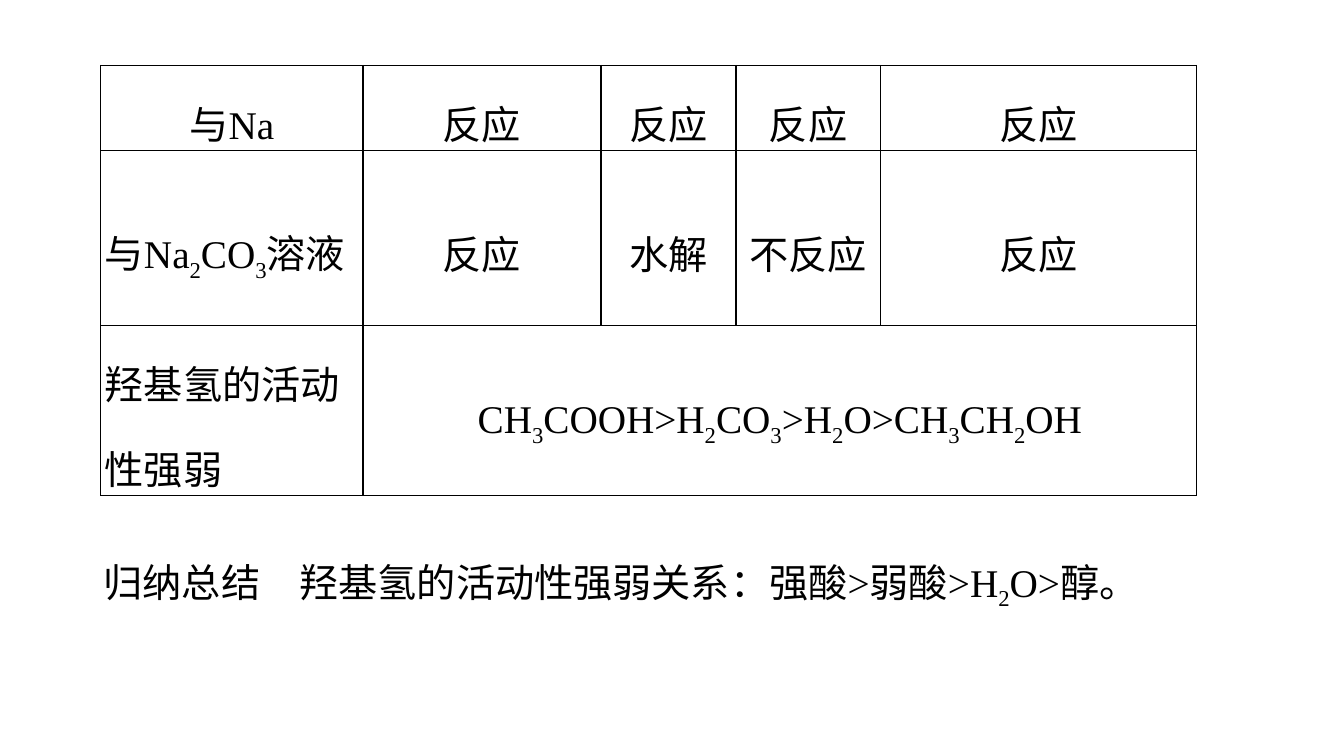
from itertools import groupby

from lxml.etree import SubElement
from pptx import Presentation
from pptx.dml.color import RGBColor
from pptx.enum.text import MSO_ANCHOR, MSO_AUTO_SIZE, PP_ALIGN
from pptx.oxml.ns import qn
from pptx.util import Inches, Pt

BLACK = "000000"


def color(value):
    return RGBColor.from_string(value)


def write_formula(paragraph, text, alignment):
    paragraph.alignment = alignment
    paragraph.line_spacing = 1.5
    for is_subscript, characters in groupby(text, str.isdigit):
        run = paragraph.add_run()
        run.text = "".join(characters)
        for name, value in {"size": Pt(28), "name": "Times New Roman"}.items():
            setattr(run.font, name, value)
        run.font.color.rgb = color(BLACK)
        properties = run._r.get_or_add_rPr()
        properties.set("lang", "zh-CN")
        if is_subscript:
            properties.set("baseline", "-25000")


presentation = Presentation()
presentation.slide_width = Inches(13.33)
presentation.slide_height = Inches(7.5)
slide = presentation.slides.add_slide(presentation.slide_layouts[6])

column_widths = [2.6, 2.36, 1.34, 1.43, 3.14]
row_heights = [0.82, 1.63, 1.69]
reactions = [
    ["与Na", "反应", "反应", "反应", "反应"],
    ["与Na2CO3溶液", "反应", "水解", "不反应", "反应"],
    ["羟基氢的活动性强弱", "CH3COOH>H2CO3>H2O>CH3CH2OH"],
]

table = slide.shapes.add_table(
    len(row_heights), len(column_widths), Inches(1), Inches(0.65),
    Inches(sum(column_widths)), Inches(sum(row_heights)),
).table
table.first_row = False
table.horz_banding = False
for column, width in zip(table.columns, column_widths):
    column.width = Inches(width)
for row, height in zip(table.rows, row_heights):
    row.height = Inches(height)
table.cell(2, 1).merge(table.cell(2, 4))

cell_format = {
    "vertical_anchor": MSO_ANCHOR.MIDDLE,
    "margin_left": Inches(0.04),
    "margin_right": Inches(0.04),
    "margin_top": 0,
    "margin_bottom": 0,
}
for cell in table.iter_cells():
    for name, value in cell_format.items():
        setattr(cell, name, value)
    cell_properties = cell._tc.get_or_add_tcPr()
    for side in ("a:lnL", "a:lnR", "a:lnT", "a:lnB"):
        border = SubElement(cell_properties, qn(side), w=str(Pt(1)))
        border_fill = SubElement(border, qn("a:solidFill"))
        SubElement(border_fill, qn("a:srgbClr"), val=BLACK)
    cell.fill.background()

for row_index, texts in enumerate(reactions):
    for column_index, text in enumerate(texts):
        is_label = row_index > 0 and column_index == 0
        alignment = PP_ALIGN.LEFT if is_label else PP_ALIGN.CENTER
        paragraph = table.cell(row_index, column_index).text_frame.paragraphs[0]
        write_formula(paragraph, text, alignment)

summary = slide.shapes.add_textbox(
    Inches(0.93), Inches(5.22), Inches(11.8), Inches(0.98)
).text_frame
summary.word_wrap = True
summary.auto_size = MSO_AUTO_SIZE.SHAPE_TO_FIT_TEXT
write_formula(
    summary.paragraphs[0],
    "归纳总结　羟基氢的活动性强弱关系：强酸>弱酸>H2O>醇。",
    PP_ALIGN.LEFT,
)

presentation.save("out.pptx")
